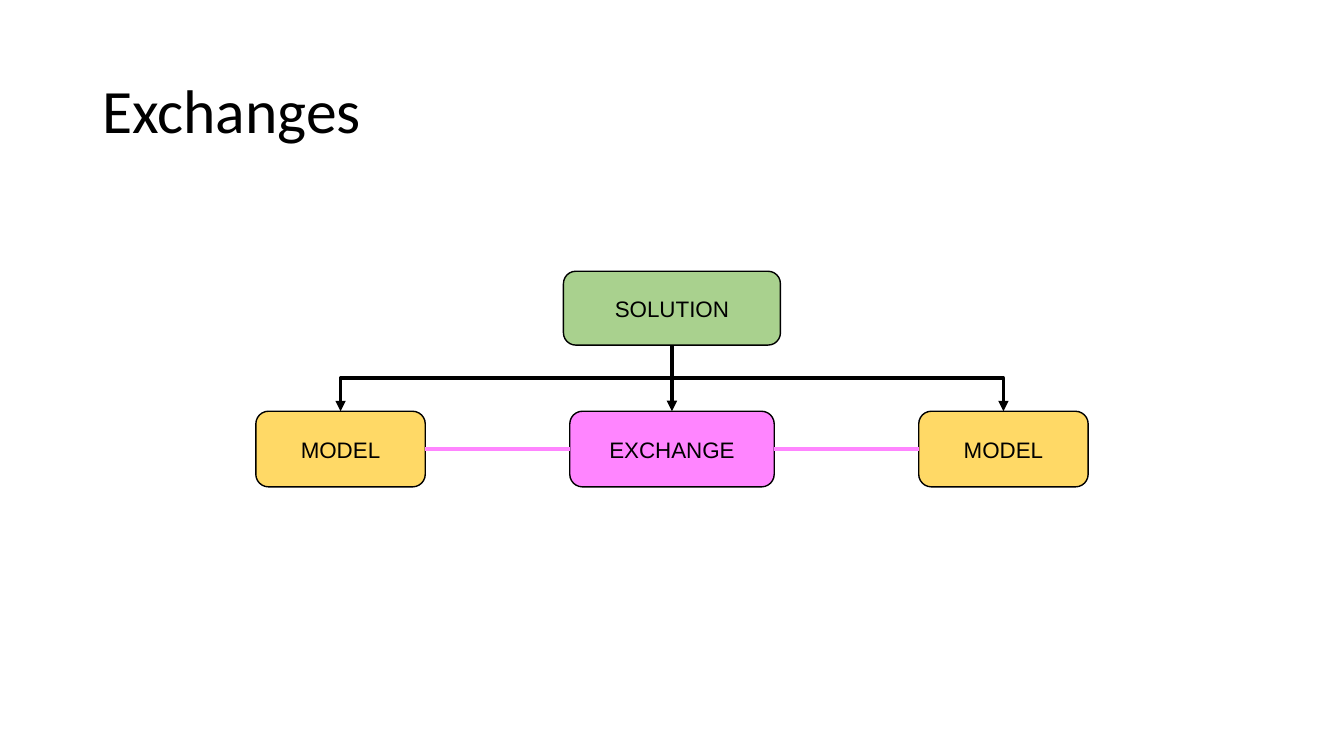
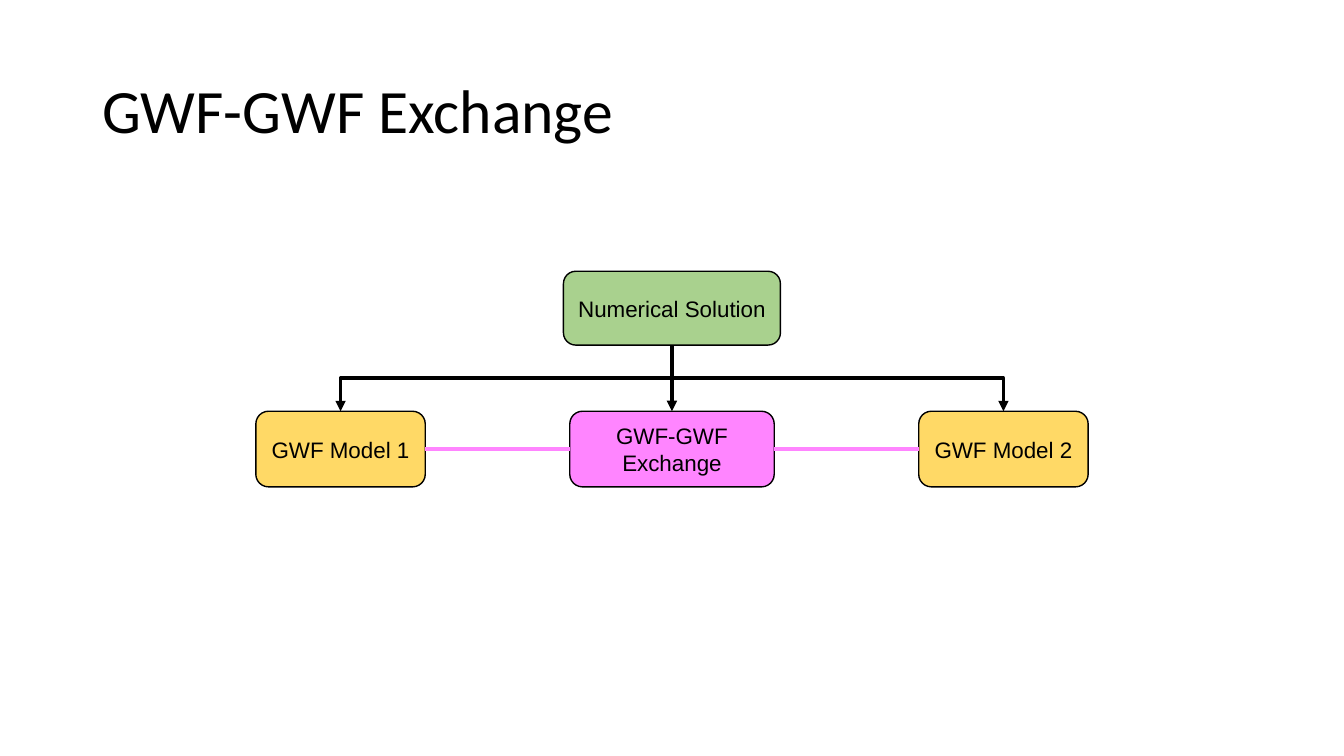
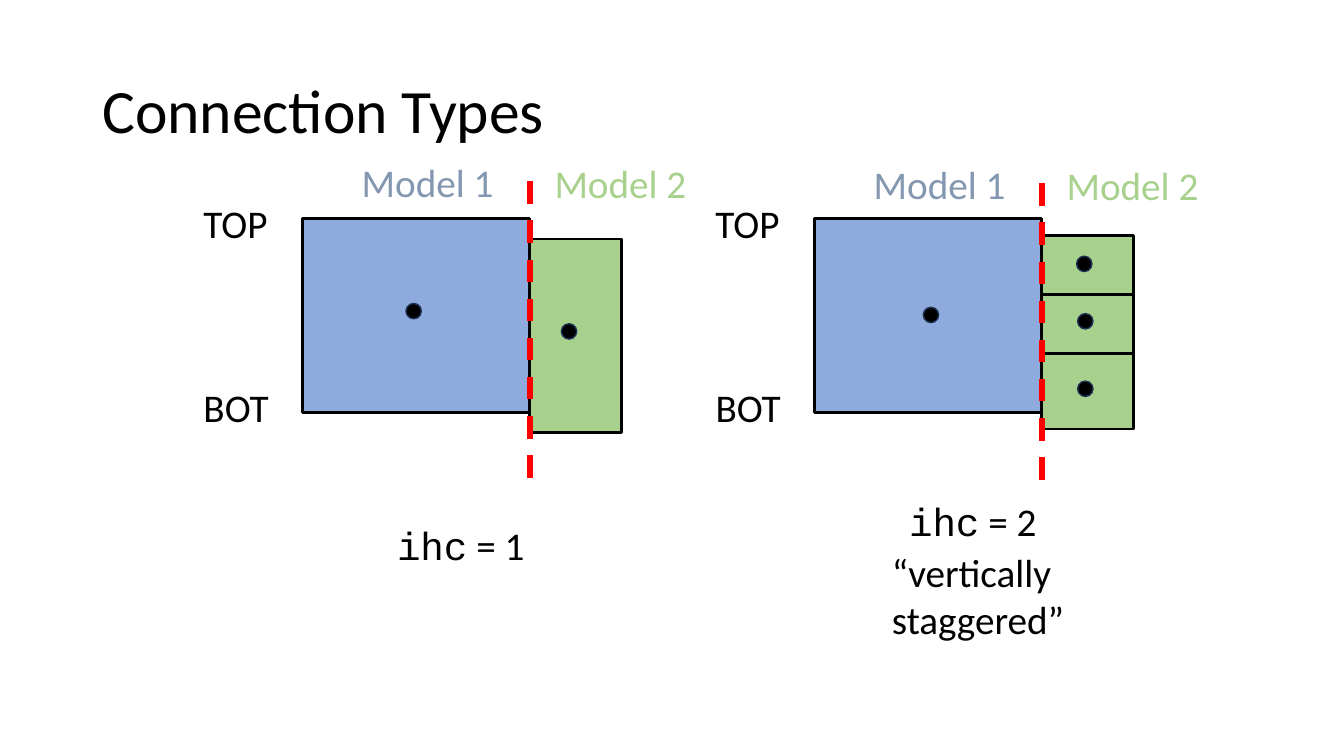
"""Builds three slides on model exchanges and connection types."""
import pptx
import pptx.util
import pptx.dml.color
import pptx.enum.dml
import pptx.enum.shapes
import pptx.enum.text
import pptx.oxml.ns
from lxml import etree

Pt = pptx.util.Pt
Kind = pptx.enum.shapes.MSO_SHAPE
Link = pptx.enum.shapes.MSO_CONNECTOR
Mid = pptx.enum.text.MSO_ANCHOR.MIDDLE
qn = pptx.oxml.ns.qn
BLACK, WHITE, RED = "000000", "FFFFFF", "FF0000"
GOLD, PINK, GREEN, BLUE = "FFD966", "FF85FF", "A9D18E", "8FAADC"
SLATE, NAVY = "8497B0", "1E3256"


def paint(part, hue):
    """Gives a fill, line or font part a solid colour."""
    if hasattr(part, "solid"):
        part.solid()
        part.fore_color.rgb = pptx.dml.color.RGBColor.from_string(hue)
    else:
        paint(part.fill, hue)


def add(slide, kind, box, fill=None, line=None, text="", size=28, face="Calibri", hue=BLACK):
    """Adds a shape, or a text box if kind is None, with its text."""
    box = [Pt(v) for v in box]
    if kind is None:
        shape = slide.shapes.add_textbox(*box)
    else:
        shape = slide.shapes.add_shape(kind, *box)
        shape.shadow.inherit = False
    if fill:
        paint(shape.fill, fill)
    if line:
        paint(shape.line, line[0])
        shape.line.width = Pt(line[1])
    if text:
        para = shape.text_frame.paragraphs[0]
        para.font.size = Pt(size)
        paint(para.font, hue)
        if isinstance(text, str):
            para.font.name = face
            text = [(text, face)]
        for word, name in text:
            run = para.add_run()
            run.text = word
            if len(text) > 1:
                run.font.name = name
    return shape


deck = pptx.Presentation()
deck.slide_width, deck.slide_height = Pt(960), Pt(540)

slides = []
for title in ("Exchanges", "GWF-GWF Exchange", "Connection Types"):
    slide = deck.slides.add_slide(deck.slide_layouts[6])
    head = add(slide, None, (66, 28.75, 828, 104.4), text=title, size=44)
    head.text_frame.word_wrap = True
    head.text_frame.vertical_anchor = Mid
    head.text_frame.paragraphs[0].line_spacing = 0.9
    slides.append(slide)

names = (
    ("MODEL", "MODEL", "EXCHANGE", "SOLUTION"),
    ("GWF Model 1", "GWF Model 2", "GWF-GWF Exchange", "Numerical Solution"),
)
nodes = (
    (243.25, 293.75, 121, 54, GOLD),
    (716.75, 293.75, 121, 54, GOLD),
    (480, 293.75, 146, 54, PINK),
    (480, 193.75, 155, 52.75, GREEN),
)
for slide, words in zip(slides, names):
    made = []
    for word, (mid, top, wide, high, fill) in zip(words, nodes):
        node = add(slide, Kind.ROUNDED_RECTANGLE, (mid - wide / 2, top, wide, high),
                   fill, (BLACK, 1), word, 16, "Arial")
        node.text_frame.vertical_anchor = Mid
        node.text_frame.word_wrap = True
        node.text_frame.paragraphs[0].alignment = pptx.enum.text.PP_ALIGN.CENTER
        made.append(node)
    left, right, swap, top = made
    links = (
        (left, 3, swap, 1, PINK, None),
        (swap, 3, right, 1, PINK, None),
        (top, 2, left, 0, BLACK, ("5400000", "0")),
        (top, 2, swap, 0, BLACK, None),
        (top, 2, right, 0, BLACK, ("16200000", "1")),
    )
    for start, out, end, into, hue, turn in links:
        link = slide.shapes.add_connector(Link.ELBOW if turn else Link.STRAIGHT, 0, 0, 0, 0)
        link.begin_connect(start, out)
        link.end_connect(end, into)
        paint(link.line, hue)
        link.line.width = Pt(2.5)
        props = link._element.spPr
        if turn:
            wide, high = link.width, link.height
            link.left += (wide - high) // 2
            link.top += (high - wide) // 2
            link.width, link.height = high, wide
            props.xfrm.set("rot", turn[0])
            props.xfrm.set("flipH", turn[1])
        if hue == BLACK:
            etree.SubElement(props.find(qn("a:ln")), qn("a:tailEnd"), type="triangle")
        etree.SubElement(props, qn("a:effectLst"))

slide = slides[2]
panels = (
    (0, 0, " = 1", 368.5, (170.75, 138.25), ((290, 216.75), (401, 231.25))),
    (365.75, 1.5, " = 2", 352, (168.5, 42, 42, 54),
     ((293.75, 219.5), (403.25, 183), (404, 224), (404, 272.25))),
)
for x, drop, value, low, cells, dots in panels:
    add(slide, Kind.RECTANGLE, (x + 216, 156.25, 162, 138.25), BLUE, (BLACK, 2))
    y = cells[0]
    for high in cells[1:]:
        add(slide, Kind.RECTANGLE, (x + 378, y, 66, high), GREEN, (BLACK, 2))
        y += high
    for a, b in dots:
        add(slide, Kind.OVAL, (x + a, b, 11, 11), BLACK, (NAVY, 1))
    code = [("ihc", "Courier New"), (value, "Calibri")]
    labels = (
        (138.25, 139, 60.5, "TOP", BLACK, None),
        (138.25, 270, 62, "BOT", BLACK, None),
        (276.5, low, 106.5, code, BLACK, None),
        (251.25, 109.5 + drop, 110, "Model 1", SLATE, WHITE),
        (389, 110.5 + drop, 110, "Model 2", GREEN, WHITE),
    )
    for a, b, wide, text, hue, fill in labels:
        label = add(slide, None, (x + a, b, wide, 41), fill, text=text, hue=hue)
        label.text_frame.word_wrap = False
    edge = slide.shapes.add_connector(
        Link.STRAIGHT, Pt(x + 378.75), Pt(341.25 + drop), Pt(x + 378.75), Pt(118 + drop))
    paint(edge.line, RED)
    edge.line.width = Pt(4)
    edge.line.dash_style = pptx.enum.dml.MSO_LINE.DASH
    etree.SubElement(edge._element.spPr, qn("a:effectLst"))
note = add(slide, None, (630, 388, 198, 75), text="“vertically staggered”")
note.text_frame.word_wrap = True

deck.save("out.pptx")
